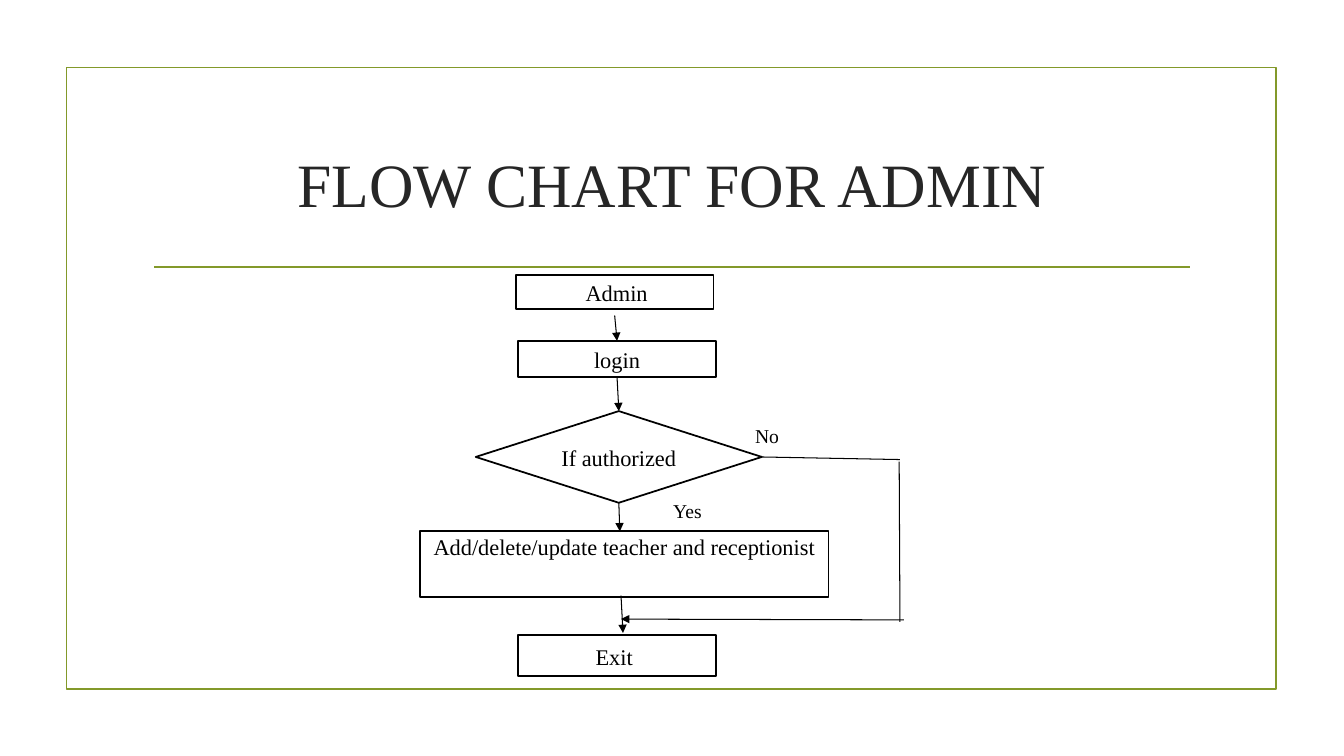
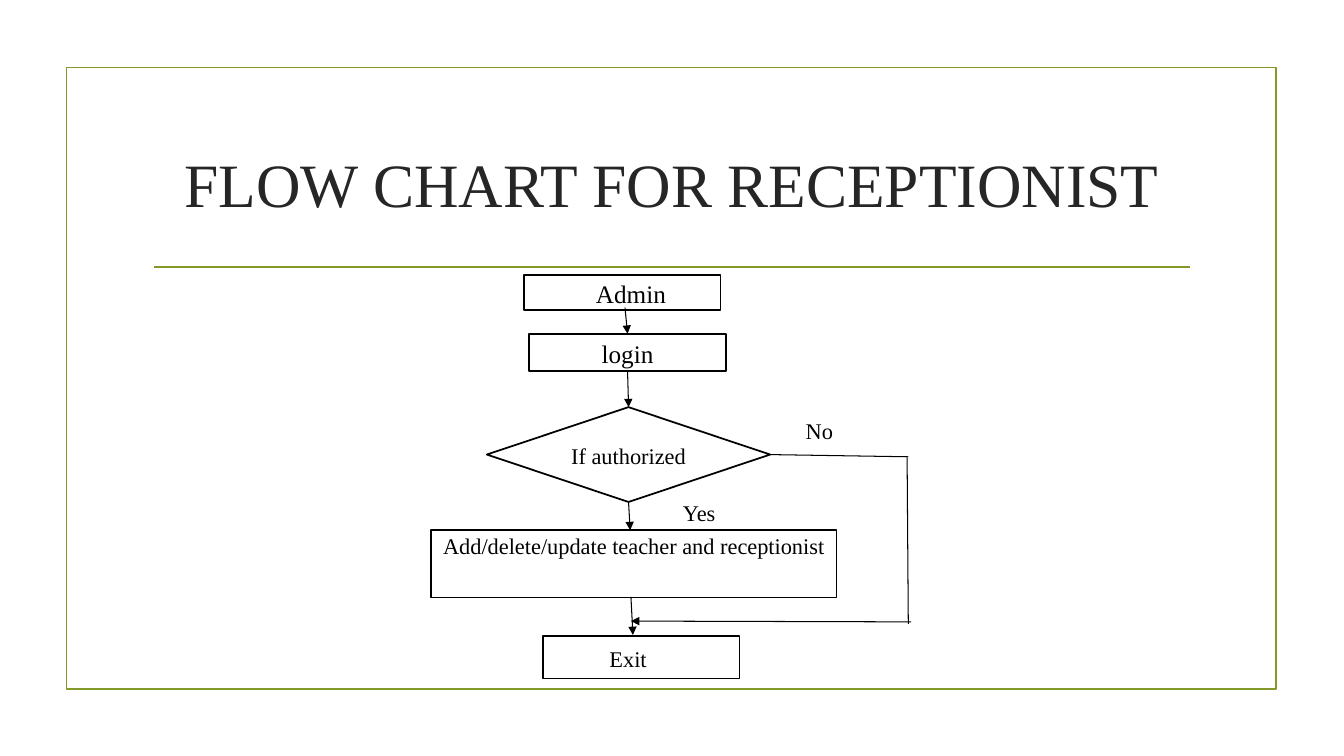
"""Build two login flow chart slides that share one frame and title style."""
from dataclasses import dataclass
from typing import NamedTuple, Optional, Union

from lxml.etree import SubElement
from pptx import Presentation
from pptx.dml.color import RGBColor
from pptx.enum.shapes import MSO_CONNECTOR, MSO_SHAPE
from pptx.enum.text import MSO_ANCHOR, PP_ALIGN
from pptx.oxml.ns import qn
from pptx.shapes.autoshape import Shape
from pptx.shapes.connector import Connector
from pptx.slide import Slide
from pptx.util import Cm, Pt

GREEN = RGBColor(0x83, 0x99, 0x2A)
TITLE_GREY = RGBColor(0x26, 0x26, 0x26)
BLACK = RGBColor(0x00, 0x00, 0x00)
WHITE = RGBColor(0xFF, 0xFF, 0xFF)
FONT = "Times New Roman"
OUTLINE = 1.25
ARROW_WIDTH = 0.75
TOP, BOTTOM, RIGHT = 0, 2, 3


class Box(NamedTuple):
    left: float
    top: float
    width: float
    height: float


class Point(NamedTuple):
    x: float
    y: float


class Joint(NamedTuple):
    node: str
    site: int


End = Union[Point, Joint]


@dataclass(frozen=True)
class Node:
    text: str
    box: Box
    size: int = 16
    preset: MSO_SHAPE = MSO_SHAPE.RECTANGLE
    line: RGBColor = BLACK
    indent: Optional[float] = None
    anchor: MSO_ANCHOR = MSO_ANCHOR.MIDDLE


@dataclass(frozen=True)
class Link:
    start: End
    end: End
    arrow: bool = True


@dataclass(frozen=True)
class FlowChart:
    title: str
    nodes: tuple[Node, ...]
    links: tuple[Link, ...]


FRAME = Box(1.68, 1.7, 30.48, 15.67)
TITLE_BOX = Box(3.61, 2.72, 26.67, 3.63)
RULE = Link(Point(3.89, 6.73), Point(30, 6.73), arrow=False)
LOGIN, CHECK = "login", "If authorized"
PROCESS = "Add/delete/update teacher and receptionist"

CHARTS = (
    FlowChart(
        "FLOW CHART FOR ADMIN",
        (
            Node("Admin", Box(13, 6.93, 4.98, 0.86), indent=1.76),
            Node(LOGIN, Box(13.06, 8.59, 4.98, 0.91)),
            Node(PROCESS, Box(10.59, 13.39, 10.29, 1.65), anchor=MSO_ANCHOR.TOP),
            Node("Exit", Box(13.06, 16, 4.98, 1.04), indent=1.95),
            Node(CHECK, Box(11.99, 10.36, 7.21, 2.31), preset=MSO_SHAPE.DIAMOND),
            Node("No", Box(18.72, 10.62, 1.22, 0.66), 14, line=WHITE),
            Node("Yes", Box(16.69, 12.52, 1.27, 0.66), 14, line=WHITE),
        ),
        (
            Link(Point(15.49, 7.95), Joint(LOGIN, TOP)),
            Link(Joint(LOGIN, BOTTOM), Joint(CHECK, TOP)),
            Link(Joint(CHECK, BOTTOM), Point(15.62, 13.39)),
            Link(Point(15.65, 15.01), Point(15.7, 15.95)),
            Link(Joint(CHECK, RIGHT), Point(22.68, 11.58), arrow=False),
            Link(Point(22.66, 11.63), Point(22.68, 15.67), arrow=False),
            Link(Point(22.78, 15.62), Point(15.65, 15.6)),
        ),
    ),
    FlowChart(
        "FLOW CHART FOR RECEPTIONIST",
        (
            Node("Admin", Box(13.21, 6.93, 4.95, 0.89), 18, indent=1.81),
            Node(LOGIN, Box(13.34, 8.41, 4.95, 0.94), 18),
            Node(PROCESS, Box(10.87, 13.36, 10.21, 1.7), anchor=MSO_ANCHOR.TOP),
            Node("Exit", Box(13.69, 16.03, 4.95, 1.07), indent=1.67),
            Node(CHECK, Box(12.27, 10.26, 7.14, 2.39), preset=MSO_SHAPE.DIAMOND),
            Node("No", Box(19.71, 10.49, 1.88, 0.69), line=WHITE),
            Node("Yes", Box(16.64, 12.55, 1.96, 0.69), line=WHITE),
        ),
        (
            Link(Point(15.75, 7.75), Joint(LOGIN, TOP)),
            Link(Joint(LOGIN, BOTTOM), Joint(CHECK, TOP)),
            Link(Joint(CHECK, BOTTOM), Point(15.88, 13.36)),
            Link(Point(15.9, 15.04), Point(15.95, 16)),
            Link(Joint(CHECK, RIGHT), Point(22.89, 11.51), arrow=False),
            Link(Point(22.86, 11.53), Point(22.89, 15.72), arrow=False),
            Link(Point(22.96, 15.67), Point(15.9, 15.65)),
        ),
    ),
)


def write_text(shape: Shape, text: str, size: int, color: RGBColor,
               indent: Optional[float] = None,
               anchor: MSO_ANCHOR = MSO_ANCHOR.MIDDLE) -> None:
    frame = shape.text_frame
    frame.word_wrap = True
    frame.vertical_anchor = anchor
    frame.margin_left = Cm(indent or 0)
    frame.margin_right = frame.margin_top = frame.margin_bottom = Cm(0)
    paragraph = frame.paragraphs[0]
    paragraph.alignment = PP_ALIGN.CENTER if indent is None else PP_ALIGN.LEFT
    paragraph.line_spacing = 1.07
    run = paragraph.add_run()
    run.text = text
    run.font.name = FONT
    run.font.size = Pt(size)
    run.font.color.rgb = color


def add_outline(slide: Slide, preset: MSO_SHAPE, box: Box, line: RGBColor) -> Shape:
    shape = slide.shapes.add_shape(preset, *map(Cm, box))
    shape.shadow.inherit = False
    shape.line.color.rgb = line
    shape.line.width = Pt(OUTLINE)
    return shape


def add_node(slide: Slide, node: Node) -> Shape:
    shape = add_outline(slide, node.preset, node.box, node.line)
    shape.fill.solid()
    shape.fill.fore_color.rgb = WHITE
    write_text(shape, node.text, node.size, BLACK, node.indent, node.anchor)
    return shape


def add_link(slide: Slide, link: Link, shapes: dict[str, Shape],
             color: RGBColor = BLACK, width: float = ARROW_WIDTH) -> Connector:
    start, end = (Point(0, 0) if isinstance(tip, Joint) else tip
                  for tip in (link.start, link.end))
    connector = slide.shapes.add_connector(
        MSO_CONNECTOR.STRAIGHT, *map(Cm, (*start, *end)))
    if isinstance(link.start, Joint):
        connector.begin_connect(shapes[link.start.node], link.start.site)
    if isinstance(link.end, Joint):
        connector.end_connect(shapes[link.end.node], link.end.site)
    connector.line.color.rgb = color
    connector.line.width = Pt(width)
    properties = connector.line._get_or_add_ln()
    if link.arrow:
        SubElement(properties, qn("a:tailEnd"), type="triangle")
    SubElement(properties.getparent(), qn("a:effectLst"))
    return connector


def add_base(slide: Slide, title: str) -> None:
    add_outline(slide, MSO_SHAPE.RECTANGLE, FRAME, GREEN).fill.background()
    add_link(slide, RULE, {}, GREEN, OUTLINE)
    title_box = slide.shapes.add_textbox(*map(Cm, TITLE_BOX))
    write_text(title_box, title, 44, TITLE_GREY)


def add_chart_slide(presentation: Presentation, chart: FlowChart) -> None:
    slide = presentation.slides.add_slide(presentation.slide_layouts[6])
    add_base(slide, chart.title)
    shapes = {node.text: add_node(slide, node) for node in chart.nodes}
    for link in chart.links:
        add_link(slide, link, shapes)


def main() -> None:
    presentation = Presentation()
    presentation.slide_width = Cm(33.87)
    presentation.slide_height = Cm(19.05)
    for chart in CHARTS:
        add_chart_slide(presentation, chart)
    presentation.save("out.pptx")


if __name__ == "__main__":
    main()
